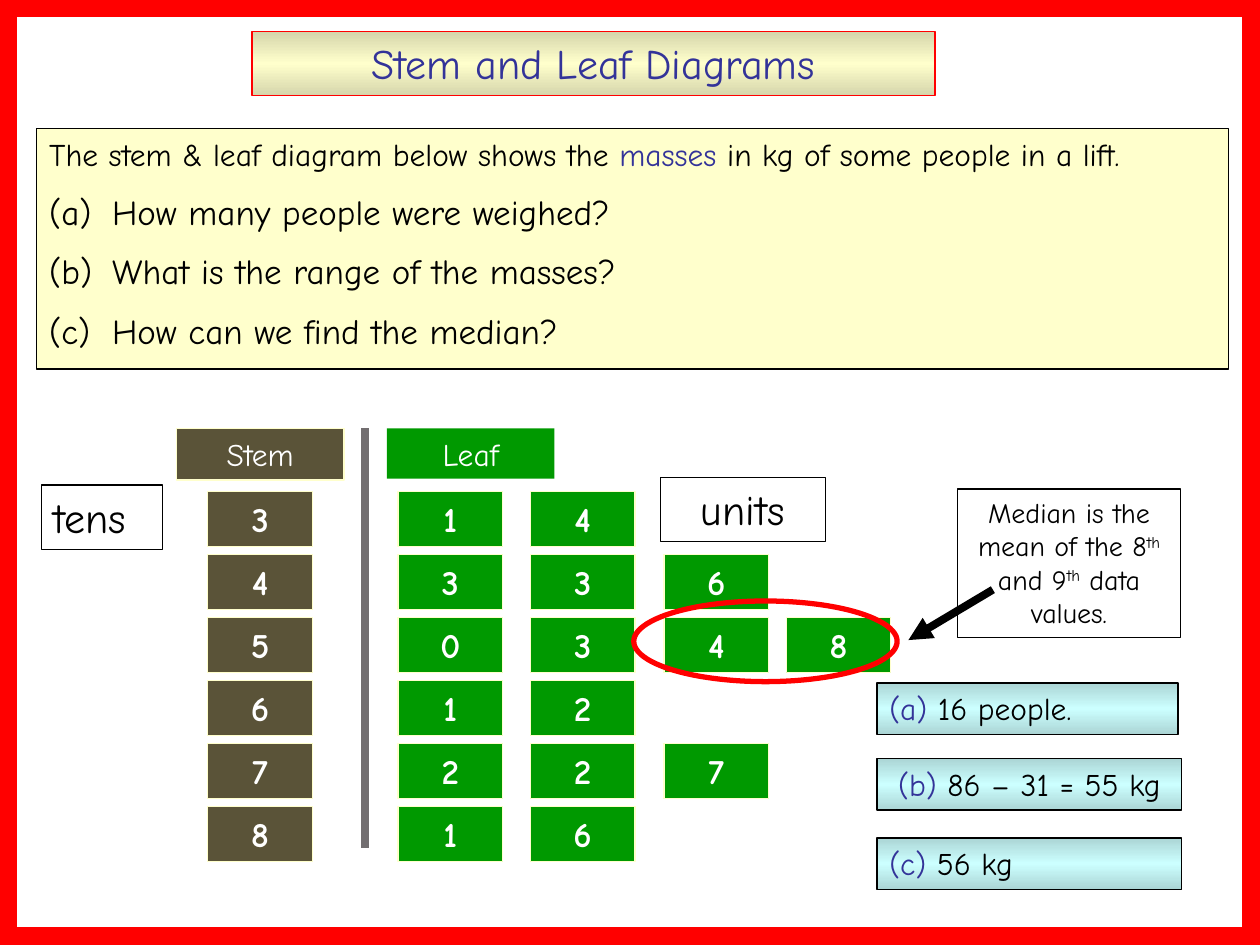
from copy import deepcopy

from pptx import Presentation
from pptx.dml.color import RGBColor
from pptx.enum.shapes import MSO_CONNECTOR, MSO_SHAPE
from pptx.enum.text import MSO_ANCHOR, MSO_AUTO_SIZE, PP_ALIGN
from pptx.oxml.ns import qn
from pptx.oxml.xmlchemy import OxmlElement
from pptx.util import Inches, Pt

FONT = "Comic Neue"
BLACK, WHITE, RED, NAVY = "000000", "FFFFFF", "FF0000", "333399"
CREAM, BROWN, GREEN, GREY = "FFFFCC", "5A5338", "009900", "726E70"
GOLD_BLEND = ("D5D5AB", "FFFFCC", "D5D5AB")
AQUA_BLEND = ("ABD5D5", "CCFFFF", "ABD5D5")
LEFT, CENTER = PP_ALIGN.LEFT, PP_ALIGN.CENTER

# Stem and leaf data, with the left edge of each leaf column
ROWS = [("3", "14"), ("4", "336"), ("5", "0348"), ("6", "12"), ("7", "227"), ("8", "16")]
LEAF_LEFTS = (3.16, 4.21, 5.27, 6.24)
ROW_TOP, ROW_STEP = 3.9, 0.5
CELL_W, CELL_H = 0.83, 0.44


def rgb(color):
    return RGBColor.from_string(color)


def paint(sp, fill=None, line=None, weight=0.75):
    """Fill with one colour, a three-colour vertical blend, or nothing; then outline."""
    sp.shadow.inherit = False
    if fill is None:
        sp.fill.background()
    elif isinstance(fill, str):
        sp.fill.solid()
        sp.fill.fore_color.rgb = rgb(fill)
    else:
        sp.fill.gradient()
        sp.fill.gradient_angle = 90
        stops = sp._element.spPr.find(qn("a:gradFill")).find(qn("a:gsLst"))
        stops.append(deepcopy(stops[0]))
        for stop, color, position in zip(sp.fill.gradient_stops, fill, (0, 0.5, 1)):
            stop.color.rgb = rgb(color)
            stop.position = position
    if line:
        sp.line.color.rgb = rgb(line)
        sp.line.width = Pt(weight)
    else:
        sp.line.fill.background()


def add_run(p, text, size, color, bold=False, raised=False):
    r = p.add_run()
    r.text = text
    r.font.name = FONT
    r.font.size = Pt(size)
    r.font.color.rgb = rgb(color)
    r.font.bold = bold
    if raised:
        r.font._element.set("baseline", "30000")


def set_frame(sp):
    tf = sp.text_frame
    tf.word_wrap = True
    tf.auto_size = MSO_AUTO_SIZE.NONE
    tf.vertical_anchor = MSO_ANCHOR.TOP
    return tf


def place(sp, box):
    sp.left, sp.top, sp.width, sp.height = map(Inches, box)


def add_box(slide, box, fill=None, line=None, weight=0.75, shape=MSO_SHAPE.RECTANGLE):
    sp = slide.shapes.add_shape(shape, *map(Inches, box))
    paint(sp, fill, line, weight)
    return sp


def add_label(slide, box, runs, size, fill=None, line=None, align=CENTER, bold=False):
    """Box with one paragraph; each run is (text, color) or (text, color, raised)."""
    sp = add_box(slide, box, fill, line)
    p = set_frame(sp).paragraphs[0]
    p.alignment = align
    for text, color, *raised in runs:
        add_run(p, text, size, color, bold, bool(raised))


def add_line(slide, start, end, color, arrow=False):
    line = slide.shapes.add_connector(MSO_CONNECTOR.STRAIGHT, *map(Inches, start + end))
    line.line.color.rgb = rgb(color)
    line.line.width = Pt(4.5)
    if arrow:
        tip = OxmlElement("a:tailEnd")
        tip.set("type", "triangle")
        line.line._get_or_add_ln().append(tip)
    line._element.spPr.append(OxmlElement("a:effectLst"))


def set_bullet(p, numbered):
    """Hanging indent, with (a), (b), (c) numbering where asked."""
    pPr = p._p.get_or_add_pPr()
    pPr.set("marL", str(Inches(0.5)))
    pPr.set("indent", str(-Inches(0.5)))
    bullet = OxmlElement("a:buAutoNum" if numbered else "a:buNone")
    if numbered:
        bullet.set("type", "alphaLcParenBoth")
    pPr.append(bullet)


def fill_title(slide):
    sp = slide.shapes.title
    place(sp, (2, 0.25, 5.42, 0.51))
    paint(sp, GOLD_BLEND, RED)
    p = set_frame(sp).paragraphs[0]
    p.alignment = CENTER
    add_run(p, "Stem and Leaf Diagrams", 24, NAVY)


def fill_questions(slide):
    sp = slide.placeholders[1]
    place(sp, (0.29, 1.02, 9.46, 1.91))
    paint(sp, CREAM, BLACK)
    tf = set_frame(sp)
    p = tf.paragraphs[0]
    set_bullet(p, numbered=False)
    p.space_before = Pt(0)
    add_run(p, "The stem & leaf diagram below shows the ", 18, BLACK)
    add_run(p, "masses", 18, NAVY)
    add_run(p, " in kg of some people in a lift.", 18, BLACK)
    for question in ("How many people were weighed?",
                     "What is the range of the masses?",
                     "How can we find the median?"):
        p = tf.add_paragraph()
        set_bullet(p, numbered=True)
        p.space_before = Pt(10)
        add_run(p, question, 20, BLACK)


def add_diagram(slide):
    # Divider and headers
    add_line(slide, (2.9, 3.4), (2.9, 6.73), GREY)
    add_label(slide, (1.4, 3.4, 1.33, 0.41), [("Stem", WHITE)], 18, BROWN, CREAM)
    add_label(slide, (3.07, 3.4, 1.33, 0.4), [("Leaf", WHITE)], 18, GREEN)
    # One row for each stem
    for i, (stem, leaves) in enumerate(ROWS):
        top = ROW_TOP + i * ROW_STEP
        cells = [(1.65, stem, BROWN)]
        cells += [(left, leaf, GREEN) for left, leaf in zip(LEAF_LEFTS, leaves)]
        for left, digit, fill in cells:
            add_label(slide, (left, top, CELL_W, CELL_H), [(digit, WHITE)], 20,
                      fill, CREAM, bold=True)
    # Place value labels
    add_label(slide, (0.33, 3.85, 0.96, 0.51), [("tens", BLACK)], 24, None, BLACK, LEFT)
    add_label(slide, (5.24, 3.79, 1.31, 0.51), [("units", BLACK)], 24, None, BLACK)


def add_answers(slide):
    answers = [(5.42, 2.39, "(a)", " 16 people.", LEFT),
               (6.02, 2.42, "(b)", " 86 – 31 = 55 kg", CENTER),
               (6.65, 2.42, "(c)", " 56 kg", LEFT)]
    for top, width, part, answer, align in answers:
        add_label(slide, (6.96, top, width, 0.41), [(part, NAVY), (answer, BLACK)], 18,
                  AQUA_BLEND, BLACK, align)


def add_median_note(slide):
    add_box(slide, (5.03, 4.77, 2.09, 0.64), line=RED, weight=3, shape=MSO_SHAPE.OVAL)
    add_line(slide, (7.88, 4.68), (7.21, 5.08), BLACK, arrow=True)
    add_label(slide, (7.6, 3.88, 1.77, 1.18),
              [("Median is the mean of the 8", BLACK), ("th", BLACK, True),
               (" and 9", BLACK), ("th", BLACK, True), (" data values.", BLACK)],
              16, None, BLACK)


def main():
    prs = Presentation()
    prs.slide_width, prs.slide_height = Inches(10), Inches(7.5)
    slide = prs.slides.add_slide(prs.slide_layouts[1])
    fill_title(slide)
    fill_questions(slide)
    add_diagram(slide)
    add_answers(slide)
    add_median_note(slide)
    # Red frame around the slide
    add_box(slide, (0, 0, 10, 7.5), line=RED, weight=20)
    prs.save("out.pptx")


if __name__ == "__main__":
    main()
